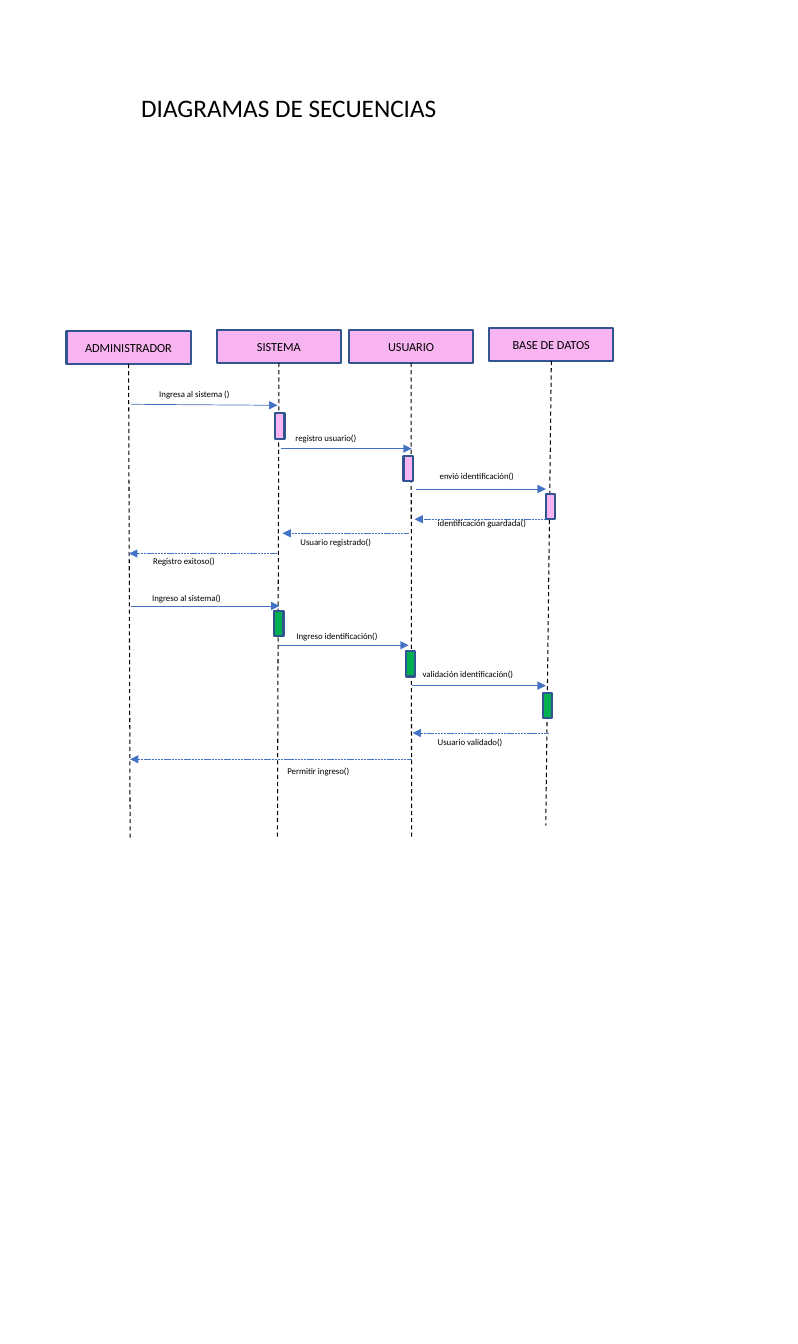
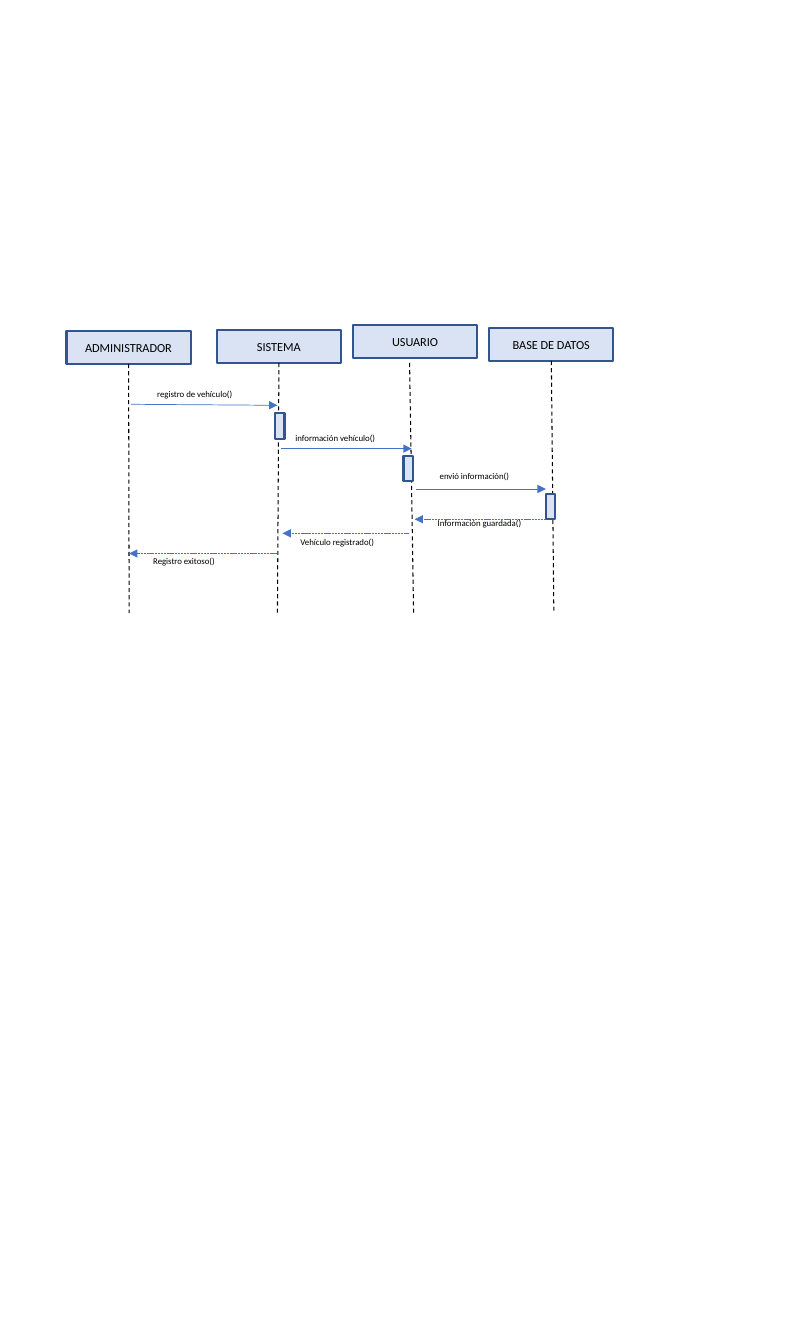
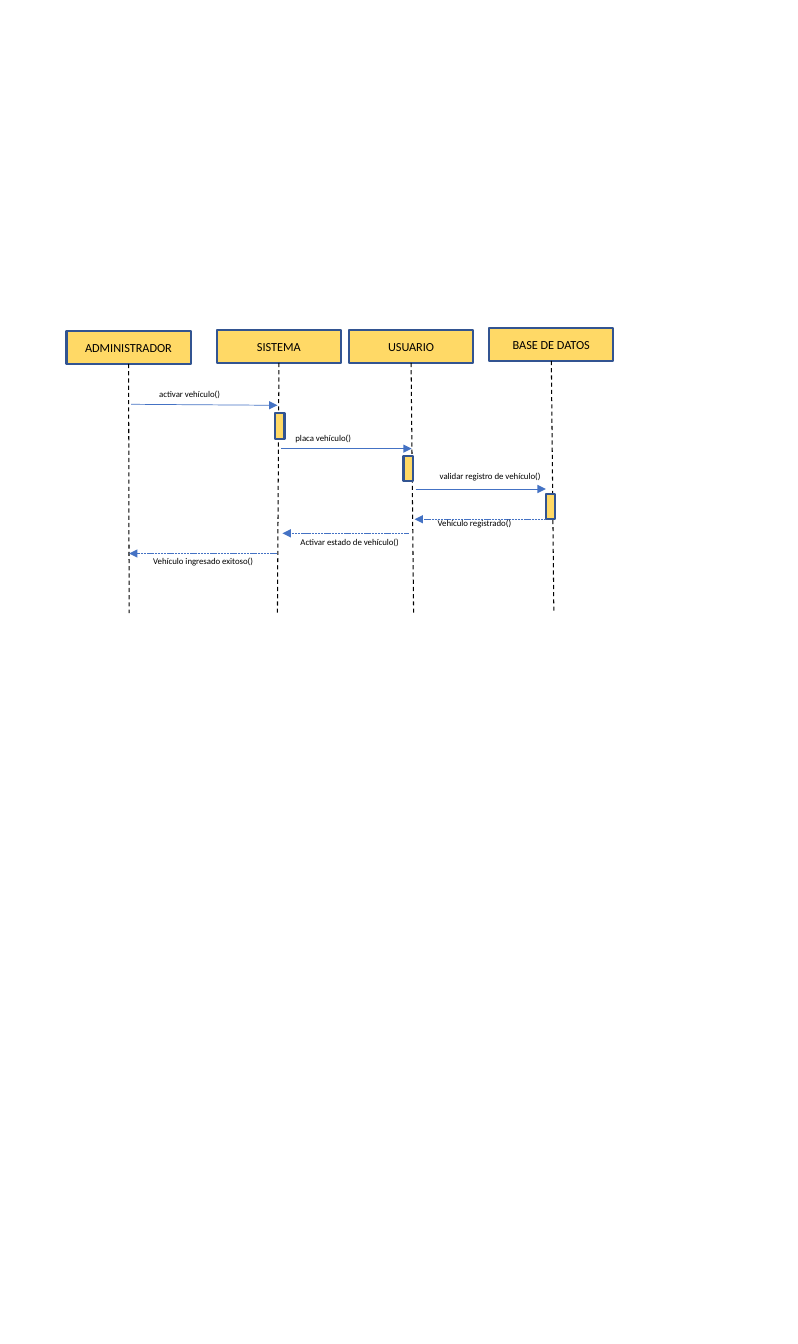
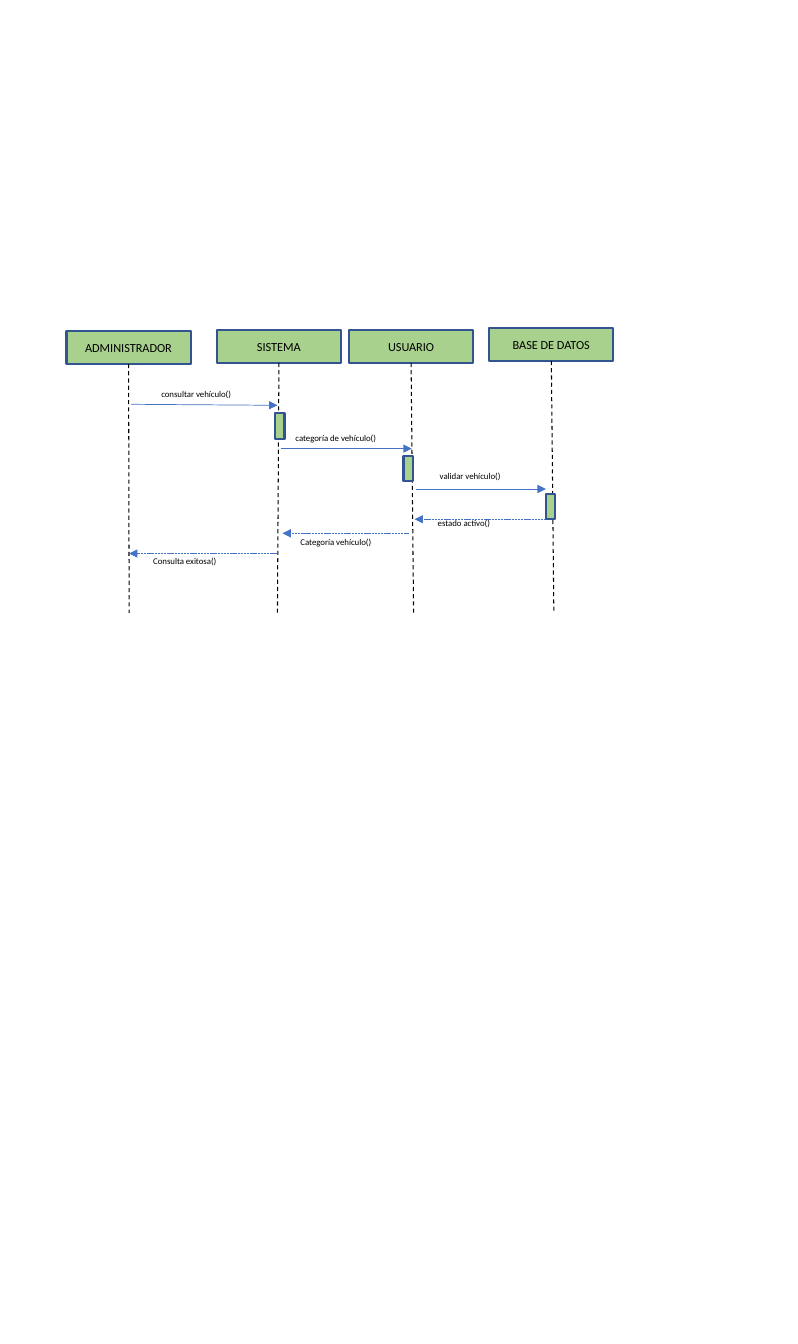
import pptx
import pptx.util
import pptx.dml.color
import pptx.enum.dml
import pptx.enum.shapes
import pptx.enum.text
import pptx.oxml
import pptx.oxml.ns
from pptx.util import Inches

COLORS = {
    "text": "000000", "outline": "325491", "arrow": "4472C4",
    "pink": "F8B4F0", "blue": "DAE3F3", "yellow": "FFD966",
    "green": "A9D18E", "login": "00B050",
}
FONT = "Calibri"
TITLE = "DIAGRAMAS DE SECUENCIAS"

# Participants: name, left and top of the head box
HEAD_SIZE = (1.23, 0.33)
PARTICIPANTS = [
    ("ADMINISTRADOR", 0.66, 3.28),
    ("SISTEMA", 2.15, 3.27),
    ("USUARIO", 3.46, 3.27),
    ("BASE DE DATOS", 4.85, 3.25),
]
LIFELINE_STARTS = [(1.29, 3.61), (2.77, 3.6), (4.06, 3.6), (5.46, 3.58)]
SHORT_ENDS = [(1.28, 6.08), (2.75, 6.08), (4.1, 6.08), (5.49, 6.08)]
LONG_ENDS = [(1.29, 8.32), (2.75, 8.32), (4.08, 8.32), (5.41, 8.19)]

# Activation bars: left and top
BAR_SIZE = (0.09, 0.25)
BARS = [(2.73, 4.1), (4, 4.52), (5.41, 4.9)]
LOGIN_BARS = [(2.72, 6.06), (4.02, 6.46), (5.38, 6.87)]

# Message routes: from, to, left and top of the label, is it a reply
LABEL_SIZE = (1.75, 0.21)
ROUTES = [
    ((1.3, 4.01), (2.75, 4.02), (1.48, 3.81), False),
    ((2.79, 4.45), (4.08, 4.45), (2.83, 4.24), False),
    ((4.12, 4.85), (5.41, 4.85), (4.26, 4.62), False),
    ((5.41, 5.15), (4.11, 5.15), (4.24, 5.09), True),
    ((4.05, 5.29), (2.8, 5.29), (2.88, 5.27), True),
    ((2.75, 5.49), (1.28, 5.49), (1.42, 5.46), True),
]
LOGIN_ROUTES = [
    ((1.3, 6.01), (2.77, 6.01), (1.41, 5.83), False),
    ((2.77, 6.4), (4.05, 6.4), (2.84, 6.21), False),
    ((4.08, 6.8), (5.41, 6.8), (4.09, 6.58), False),
    ((5.44, 7.27), (4.09, 7.27), (4.24, 7.26), True),
    ((4.08, 7.53), (1.29, 7.53), (2.75, 7.54), True),
]

# One diagram a slide; "shift" moves the first label, "moved" a head box
DIAGRAMS = [
    {"title": TITLE, "color": "pink",
     "messages": ["Ingresa al sistema ()", "registro usuario()",
                  "envió identificación()", "identificación guardada()",
                  "Usuario registrado()", "Registro exitoso()"],
     "login": ["Ingreso al sistema()", "Ingreso identificación()",
               "validación identificación()", "Usuario validado()",
               "Permitir ingreso()"]},
    {"color": "blue", "shift": -0.02, "moved": {"USUARIO": (3.5, 3.22)},
     "messages": ["registro de vehículo()", "información vehículo()",
                  "envió información()", "Información guardada()",
                  "Vehículo registrado()", "Registro exitoso()"]},
    {"color": "yellow",
     "messages": ["activar vehículo()", "placa vehículo()",
                  "validar registro de vehículo()", "Vehículo registrado()",
                  "Activar estado de vehículo()",
                  "Vehículo ingresado exitoso()"]},
    {"color": "green", "shift": 0.02,
     "messages": ["consultar vehículo()", "categoría de vehículo()",
                  "validar vehículo()", "estado activo()",
                  "Categoría vehículo()", "Consulta exitosa()"]},
]


def rgb(name):
    return pptx.dml.color.RGBColor.from_string(COLORS[name])


def write(shape, text, size, align=pptx.enum.text.PP_ALIGN.LEFT):
    frame = shape.text_frame
    frame.word_wrap = True
    frame.text = text
    paragraph = frame.paragraphs[0]
    paragraph.alignment = align
    paragraph.font.name = FONT
    paragraph.font.size = pptx.util.Pt(size)
    paragraph.font.color.rgb = rgb("text")
    return frame


def add_box(slide, position, size, color):
    box = slide.shapes.add_shape(pptx.enum.shapes.MSO_SHAPE.RECTANGLE,
                                 *map(Inches, position + size))
    box.shadow.inherit = False
    box.fill.solid()
    box.fill.fore_color.rgb = rgb(color)
    box.line.color.rgb = rgb("outline")
    box.line.width = pptx.util.Pt(1.5)
    return box


def add_line(slide, start, end, color, width, dash=None, arrow=False):
    line = slide.shapes.add_connector(pptx.enum.shapes.MSO_CONNECTOR.STRAIGHT,
                                      *map(Inches, start + end))
    line.line.color.rgb = rgb(color)
    line.line.width = pptx.util.Pt(width)
    if dash:
        line.line.dash_style = dash
    if arrow:
        tail = pptx.oxml.ns.qn("a:tailEnd")
        line.line._get_or_add_ln().append(
            pptx.oxml.parse_xml(
                '<a:tailEnd xmlns:a="http://schemas.openxmlformats.org/'
                'drawingml/2006/main" type="triangle"/>')
        ) if line.line._get_or_add_ln().find(tail) is None else None
    effects = pptx.oxml.parse_xml(
        '<a:effectLst xmlns:a="http://schemas.openxmlformats.org/'
        'drawingml/2006/main"/>')
    line._element.spPr.append(effects)
    return line


def add_title(slide, text):
    title = slide.shapes.title
    title.left, title.top, title.width, title.height = map(
        Inches, (1.3, 0.87, 3.4, 0.4))
    frame = write(title, text, 18)
    frame.vertical_anchor = pptx.enum.text.MSO_ANCHOR.TOP
    frame.auto_size = pptx.enum.text.MSO_AUTO_SIZE.SHAPE_TO_FIT_TEXT


def add_participants(slide, color, moved, ends):
    dash = pptx.enum.dml.MSO_LINE.DASH
    for (name, left, top), start, end in zip(PARTICIPANTS, LIFELINE_STARTS,
                                             ends):
        head = add_box(slide, moved.get(name, (left, top)), HEAD_SIZE, color)
        frame = write(head, name, 8.8, pptx.enum.text.PP_ALIGN.CENTER)
        frame.vertical_anchor = pptx.enum.text.MSO_ANCHOR.MIDDLE
        lifeline = add_line(slide, start, end, "text", 0.75, dash)
        if name not in moved:
            lifeline.begin_connect(head, 2)


def add_messages(slide, routes, texts, shift=0):
    for i, ((start, end, (left, top), reply), text) in enumerate(
            zip(routes, texts)):
        dash = pptx.enum.dml.MSO_LINE.SQUARE_DOT if reply else None
        arrow = add_line(slide, start, end, "arrow", 0.5, dash, arrow=True)
        if reply:
            arrow.line._get_or_add_ln().prstDash.set("val", "sysDash")
        label_left = left + shift if i == 0 else left
        label = slide.shapes.add_textbox(
            *map(Inches, (label_left, top) + LABEL_SIZE))
        frame = write(label, text, 6.3)
        frame.auto_size = pptx.enum.text.MSO_AUTO_SIZE.SHAPE_TO_FIT_TEXT


def main():
    deck = pptx.Presentation()
    deck.slide_width, deck.slide_height = Inches(7.91), Inches(13.33)
    title_only, blank = deck.slide_layouts[5], deck.slide_layouts[6]
    for diagram in DIAGRAMS:
        has_title, has_login = "title" in diagram, "login" in diagram
        slide = deck.slides.add_slide(title_only if has_title else blank)
        if has_title:
            add_title(slide, diagram["title"])
        add_participants(slide, diagram["color"], diagram.get("moved", {}),
                         LONG_ENDS if has_login else SHORT_ENDS)
        for position in BARS:
            add_box(slide, position, BAR_SIZE, diagram["color"])
        add_messages(slide, ROUTES, diagram["messages"],
                     diagram.get("shift", 0))
        # Second exchange: signing in
        if has_login:
            for position in LOGIN_BARS:
                add_box(slide, position, BAR_SIZE, "login")
            add_messages(slide, LOGIN_ROUTES, diagram["login"])
    deck.save("out.pptx")


if __name__ == "__main__":
    main()
